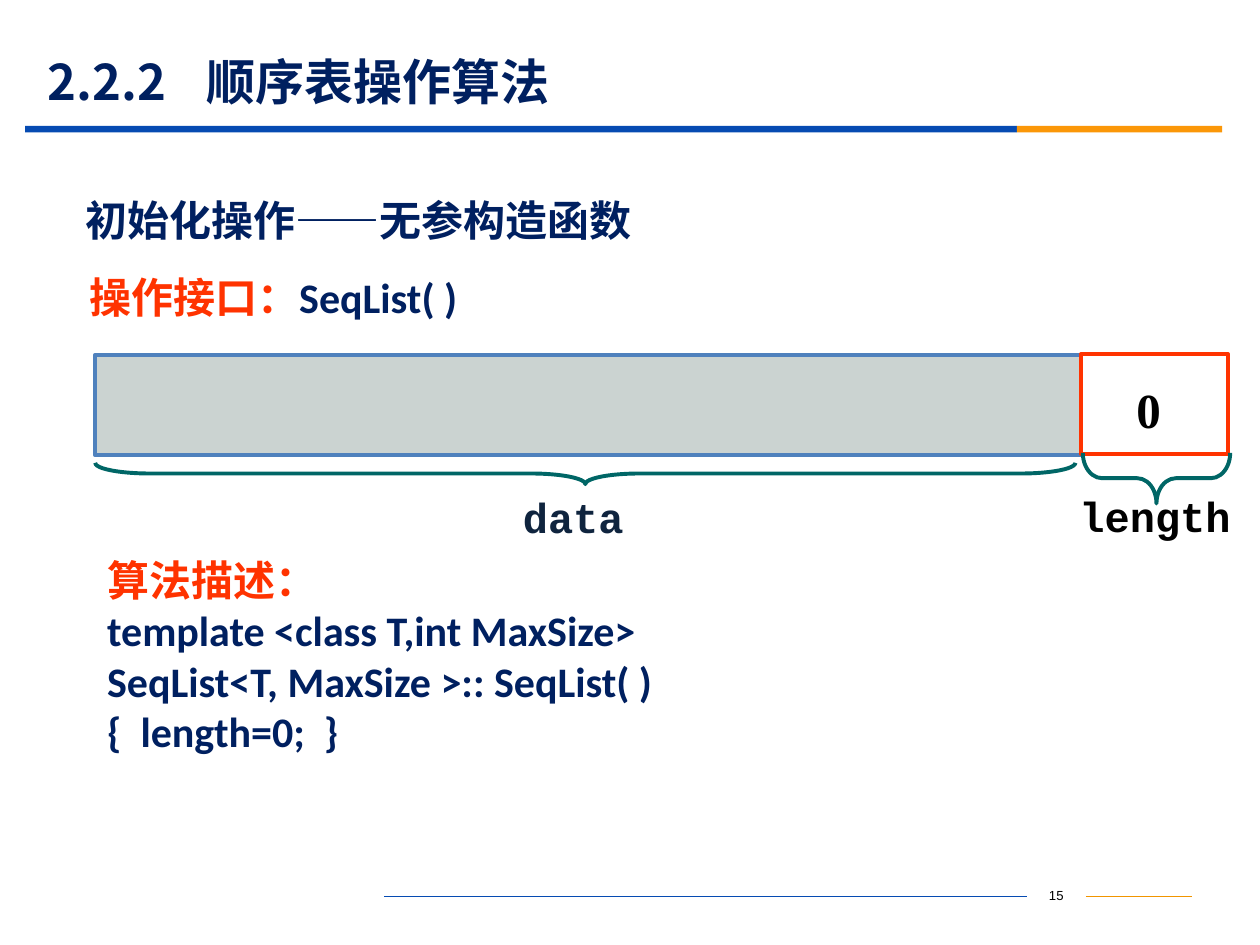
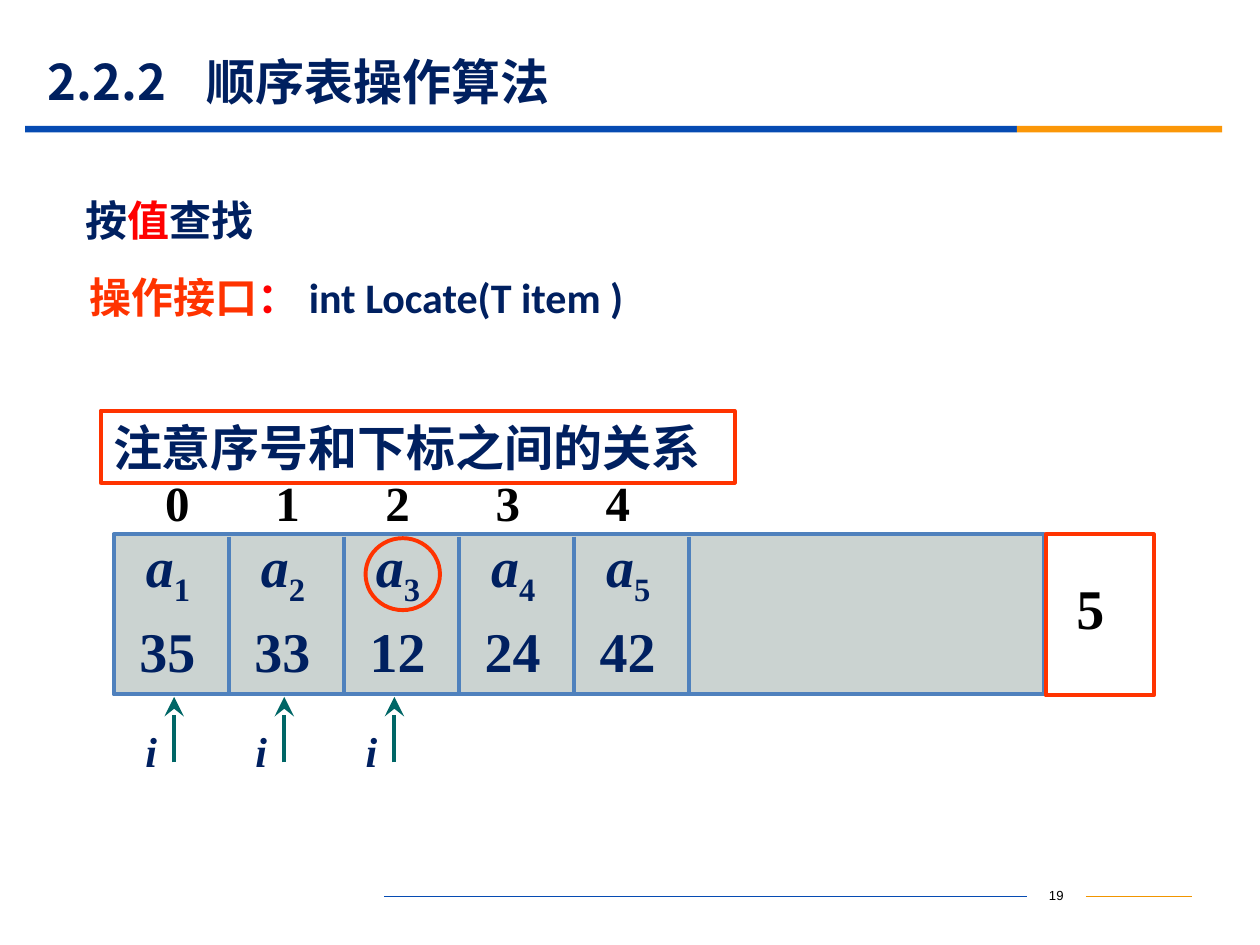
from lxml.etree import SubElement
from pptx import Presentation
from pptx.dml.color import RGBColor
from pptx.enum.shapes import MSO_CONNECTOR, MSO_SHAPE
from pptx.enum.text import MSO_ANCHOR, MSO_AUTO_SIZE, PP_ALIGN
from pptx.oxml.ns import qn
from pptx.util import Cm, Pt

NAVY, RED, ORANGE_RED, BLACK = "002060", "FF0000", "FF3300", "000000"
BAND_BLUE, BAND_ORANGE, FOOTER_ORANGE = "064BB2", "FB9708", "F19500"
CELL_FILL, CELL_LINE, TEAL, INK = "CBD3D1", "4F81BD", "006666", "0F243E"
SANS, SERIF, MONO, CODE, PLAIN = (
    "Noto Sans CJK SC", "Times New Roman", "Courier New", "Calibri", "Arial")
TITLE = "2.2.2\t顺序表操作算法"


def rgb(value):
    return RGBColor.from_string(value)


def add_span(para, text, font=SERIF, size=24, color=NAVY, bold=True,
             italic=False, baseline=0):
    span = para.add_run()
    span.text = text
    span.font.size = Pt(size)
    span.font.bold = bold
    span.font.italic = italic
    span.font.color.rgb = rgb(color)
    span.font.name = font
    properties = span._r.get_or_add_rPr()
    SubElement(properties, qn("a:ea"), typeface=SANS)
    if baseline:
        properties.set("baseline", str(baseline * 1000))


def write(frame, paragraphs, anchor=MSO_ANCHOR.TOP, align=PP_ALIGN.LEFT,
          insets=(0.25, 0.13), spacing=None, **style):
    frame.word_wrap = True
    frame.auto_size = MSO_AUTO_SIZE.NONE
    frame.vertical_anchor = anchor
    frame.margin_left = frame.margin_right = Cm(insets[0])
    frame.margin_top = frame.margin_bottom = Cm(insets[1])
    for number, spans in enumerate(paragraphs):
        para = frame.add_paragraph() if number else frame.paragraphs[0]
        para.alignment = align
        if spacing:
            para.line_spacing = spacing
        for text, changes in spans:
            add_span(para, text, **{**style, **changes})


class Lecture:
    def __init__(self):
        self.deck = Presentation()
        self.deck.slide_width = Cm(25.4)
        self.deck.slide_height = Cm(19.05)
        self.page = None

    def start_page(self, number):
        self.page = self.deck.slides.add_slide(self.deck.slide_layouts[5])
        self.title(TITLE)
        self.shape(0.51, 2.54, 19.99, 0.13, fill=BAND_BLUE)
        self.shape(20.5, 2.54, 4.14, 0.13, fill=BAND_ORANGE)
        label = self.text(20.7, 17.75, 1.19, 0.64, str(number), font=PLAIN,
                          size=7.5, color=BLACK, bold=False,
                          align=PP_ALIGN.CENTER)
        left_rule = self.line(7.75, 18.07, 20.7, 18.07, BAND_BLUE, 0.75)
        left_rule.end_connect(label, 1)
        right_rule = self.line(21.89, 18.07, 24.03, 18.07, FOOTER_ORANGE, 0.75)
        right_rule.begin_connect(label, 3)

    def title(self, text):
        box = self.page.shapes.title
        box.left, box.top, box.width, box.height = (
            Cm(0.71), Cm(1.09), Cm(22.86), Cm(1.09))
        properties = box.text_frame.paragraphs[0]._p.get_or_add_pPr()
        tabs = SubElement(properties, qn("a:tabLst"))
        SubElement(tabs, qn("a:tab"), pos=str(Cm(3.21)), algn="l")
        write(box.text_frame, [[(text, {})]], anchor=MSO_ANCHOR.MIDDLE,
              font=SANS, size=28)

    def text(self, left, top, width, height, content, **style):
        box = self.page.shapes.add_textbox(
            Cm(left), Cm(top), Cm(width), Cm(height))
        paragraphs = [[(content, {})]] if isinstance(content, str) else content
        write(box.text_frame, paragraphs, **style)
        return box

    def heading(self, *spans):
        self.text(1.47, 3.61, 16.46, 1.63, [spans], font=SANS,
                  anchor=MSO_ANCHOR.MIDDLE)

    def interface(self, *spans):
        self.text(1.8, 5.46, 17.53, 1.32, [spans], insets=(0, 0.13),
                  spacing=0.9)

    def shape(self, left, top, width, height, fill=None, line=None,
              kind=MSO_SHAPE.RECTANGLE):
        box = self.page.shapes.add_shape(
            kind, Cm(left), Cm(top), Cm(width), Cm(height))
        box.shadow.inherit = False
        if fill:
            box.fill.solid()
            box.fill.fore_color.rgb = rgb(fill)
        else:
            box.fill.background()
        if line:
            box.line.color.rgb = rgb(line)
            box.line.width = Pt(2.25)
        else:
            box.line.fill.background()
        return box

    def brace(self, left, top, width, height, curve):
        offset = (width - height) / 2
        box = self.shape(left + offset, top - offset, height, width,
                         line=TEAL, kind=MSO_SHAPE.LEFT_BRACE)
        box.rotation = 270
        box.adjustments[0] = curve
        box.adjustments[1] = 0.5

    def line(self, x1, y1, x2, y2, color, weight=2.25, arrow=False):
        rule = self.page.shapes.add_connector(
            MSO_CONNECTOR.STRAIGHT, Cm(x1), Cm(y1), Cm(x2), Cm(y2))
        rule.line.color.rgb = rgb(color)
        rule.line.width = Pt(weight)
        if arrow:
            SubElement(rule.line._get_or_add_ln(), qn("a:tailEnd"),
                       type="stealth", w="lg", len="lg")
        SubElement(rule._element.spPr, qn("a:effectLst"))
        return rule


def build_constructor_page(lecture):
    lecture.start_page(15)
    lecture.heading(("初始化操作——无参构造函数", {}))
    lecture.interface(("操作接口：", {"color": ORANGE_RED}),
                      ("SeqList( )", {"font": CODE}))
    code = ["template <class T,int MaxSize>",
            "SeqList<T, MaxSize >:: SeqList( )",
            "{  length=0;  }"]
    lecture.text(1.91, 11.05, 16.94, 4.37,
                 [[("算法描述：", {"color": ORANGE_RED, "font": SERIF})]]
                 + [[(row, {})] for row in code], font=CODE)
    lecture.shape(1.91, 7.16, 19.91, 2.01, CELL_FILL, CELL_LINE)
    lecture.shape(21.79, 7.14, 2.97, 2.01, "FFFFFF", ORANGE_RED)
    lecture.brace(1.92, 9.33, 19.76, 0.43, 2.55)
    lecture.brace(21.83, 9.13, 2.97, 1.02, 0.38)
    lecture.text(10.29, 9.78, 3.71, 1.27, "data", font=MONO, color=INK)
    lecture.text(21.51, 9.75, 3.71, 1.27, "length", font=MONO, color=BLACK)
    lecture.text(22.66, 7.52, 1.42, 1.45, "0", size=28, color=BLACK)


def build_search_page(lecture):
    lecture.start_page(19)
    lecture.interface(("操作接口", {"color": ORANGE_RED}),
                      ("： ", {"font": MONO, "color": RED}),
                      ("int Locate(T item )", {"font": CODE}))
    lecture.heading(("按", {}), ("值", {"color": RED}), ("查找", {}))

    array_left, cell_width, index_step = 2.29, 2.32, 2.22
    lecture.shape(array_left, 10.77, 18.75, 3.23, CELL_FILL, CELL_LINE)
    length_cell = lecture.shape(21.08, 10.77, 2.18, 3.25, "FFFFFF", ORANGE_RED)
    write(length_cell.text_frame, [[("5", {})]], size=32, color=BLACK,
          insets=(0.62, 0.79))

    for index, value in enumerate([35, 33, 12, 24, 42]):
        cell_left = array_left + index * cell_width
        divider = cell_left + cell_width
        lecture.line(divider, 10.82, divider, 14.02, CELL_LINE)
        lecture.text(cell_left + 0.52, 12.29, 1.5, 1.6, str(value), size=32,
                     insets=(0, 0.13))
        symbol = [("a", {"italic": True}),
                  (str(index + 1), {"baseline": -25})]
        lecture.text(cell_left + 0.65, 10.59, 1.5, 1.6, [symbol], size=32,
                     insets=(0, 0.13))
        lecture.text(3.33 + index * index_step, 9.4, 1.4, 1.45, str(index),
                     size=28, color=BLACK, insets=(0, 0.13))

    for step in range(3):
        pointer = 3.51 + step * index_step
        lecture.line(pointer, 15.37, pointer, 14.05, TEAL, arrow=True)
        lecture.text(pointer - 0.58, 14.63, 0.56, 1.02, "i", italic=True,
                     insets=(0, 0))

    lecture.shape(7.37, 10.85, 1.5, 1.45, line=ORANGE_RED, kind=MSO_SHAPE.OVAL)
    reminder = lecture.shape(2.03, 8.28, 12.78, 1.45, line=ORANGE_RED)
    write(reminder.text_frame, [[("注意序号和下标之间的关系", {})]],
          font=SANS, size=28)


def main():
    lecture = Lecture()
    build_constructor_page(lecture)
    build_search_page(lecture)
    lecture.deck.save("out.pptx")


if __name__ == "__main__":
    main()
